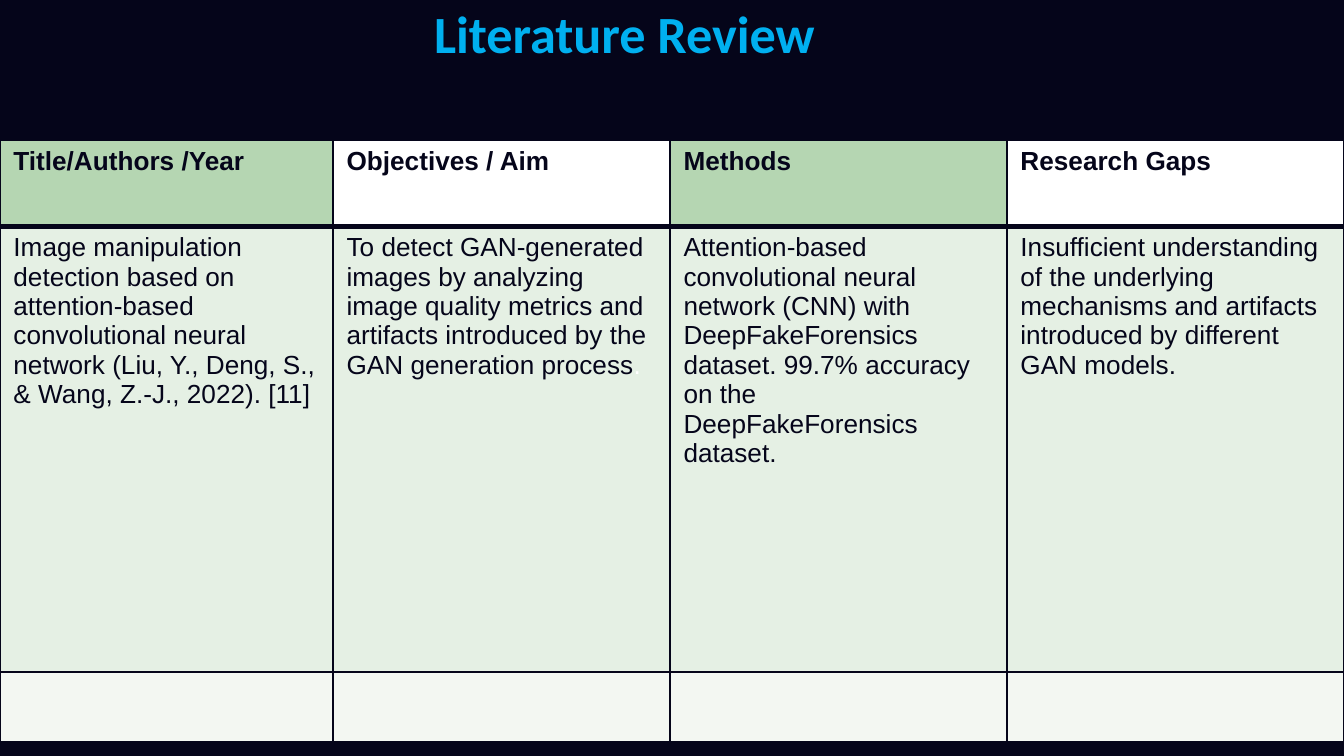
from lxml.etree import SubElement
from pptx import Presentation
from pptx.dml.color import RGBColor
from pptx.enum.text import MSO_ANCHOR, PP_ALIGN
from pptx.oxml.ns import qn
from pptx.util import Pt

HUES = {
    "dark": "05051A", "blue": "00B0F0", "white": "FFFFFF",
    "green": "B5D6B2", "pale": "E5F0E4", "faint": "F3F7F2",
}
HEADS = ["Title/Authors /Year", "Objectives / Aim", "Methods", "Research Gaps"]
STUDY = [
    "Image manipulation detection based on attention-based convolutional "
    "neural network (Liu, Y., Deng, S., & Wang, Z.-J., 2022). [11]",
    "To detect GAN-generated images by analyzing image quality metrics and "
    "artifacts introduced by the GAN generation process",
    "Attention-based convolutional neural network (CNN) with "
    "DeepFakeForensics dataset. 99.7% accuracy on the "
    "DeepFakeForensics dataset.",
    "Insufficient understanding of the underlying mechanisms and artifacts "
    "introduced by different GAN models.",
]
ROWS = [
    (HEADS, ["green", "white", "green", "white"], 46.4),
    (STUDY, ["pale"] * 4, 238.9),
    ([""] * 4, ["faint"] * 4, 37.2),
]
COLS = [178.5, 180.5, 180.5, 180.5]


class Deck:
    def __init__(self, wide, high):
        self.show = Presentation()
        self.show.slide_width, self.show.slide_height = Pt(wide), Pt(high)
        self.slide = self.show.slides.add_slide(self.show.slide_layouts[6])
        self.paint(self.slide.background.fill, "dark")

    def paint(self, fill, hue):
        fill.solid()
        fill.fore_color.rgb = RGBColor.from_string(HUES[hue])

    def style(self, run, face, size, hue, bold=False):
        run.font.name, run.font.size, run.font.bold = face, Pt(size), bold
        run.font.color.rgb = RGBColor.from_string(HUES[hue])

    def title(self, text, left, top, wide, high):
        box = self.slide.shapes.add_textbox(Pt(left), Pt(top), Pt(wide), Pt(high))
        frame = box.text_frame
        frame.word_wrap = True
        frame.vertical_anchor = MSO_ANCHOR.MIDDLE
        frame.margin_top = frame.margin_bottom = Pt(7.2)
        frame.text = text
        line = frame.paragraphs[0]
        line.alignment = PP_ALIGN.CENTER
        self.style(line.runs[0], "Calibri", 28, "blue", True)

    def edge(self, cell, side, width):
        line = SubElement(cell._tc.get_or_add_tcPr(), qn("a:ln" + side), w=str(Pt(width)))
        fill = SubElement(line, qn("a:solidFill"))
        SubElement(fill, qn("a:srgbClr"), val=HUES["dark"])

    def cell(self, cell, text, hue, head, upper, lower):
        for side, width in zip("LRTB", (1, 1, upper, lower)):
            self.edge(cell, side, width)
        self.paint(cell.fill, hue)
        cell.text_frame.text = text
        for run in cell.text_frame.paragraphs[0].runs:
            self.style(run, "Arial", 14, "dark", head)

    def table(self, left, top, cols, rows):
        high = sum(row[2] for row in rows)
        grid = self.slide.shapes.add_table(
            len(rows), len(cols), Pt(left), Pt(top), Pt(sum(cols)), Pt(high)).table
        grid.first_row = grid.horz_banding = False
        for col, wide in zip(grid.columns, cols):
            col.width = Pt(wide)
        for r, (texts, hues, tall) in enumerate(rows):
            grid.rows[r].height = Pt(tall)
            upper, lower = 3 if r == 1 else 1, 3 if r == 0 else 1
            for c, (text, hue) in enumerate(zip(texts, hues)):
                self.cell(grid.cell(r, c), text, hue, r == 0, upper, lower)
        return grid

    def tail(self, cell, text, hue):
        run = cell.text_frame.paragraphs[0].add_run()
        run.text = text
        self.style(run, "Arial", 14, hue)


def main():
    deck = Deck(720, 405)
    deck.title("Literature Review", 10.8, -12.2, 647.3, 59)
    grid = deck.table(0, 74.9, COLS, ROWS)
    deck.tail(grid.cell(1, 1), ".", "white")
    deck.show.save("out.pptx")


if __name__ == "__main__":
    main()
